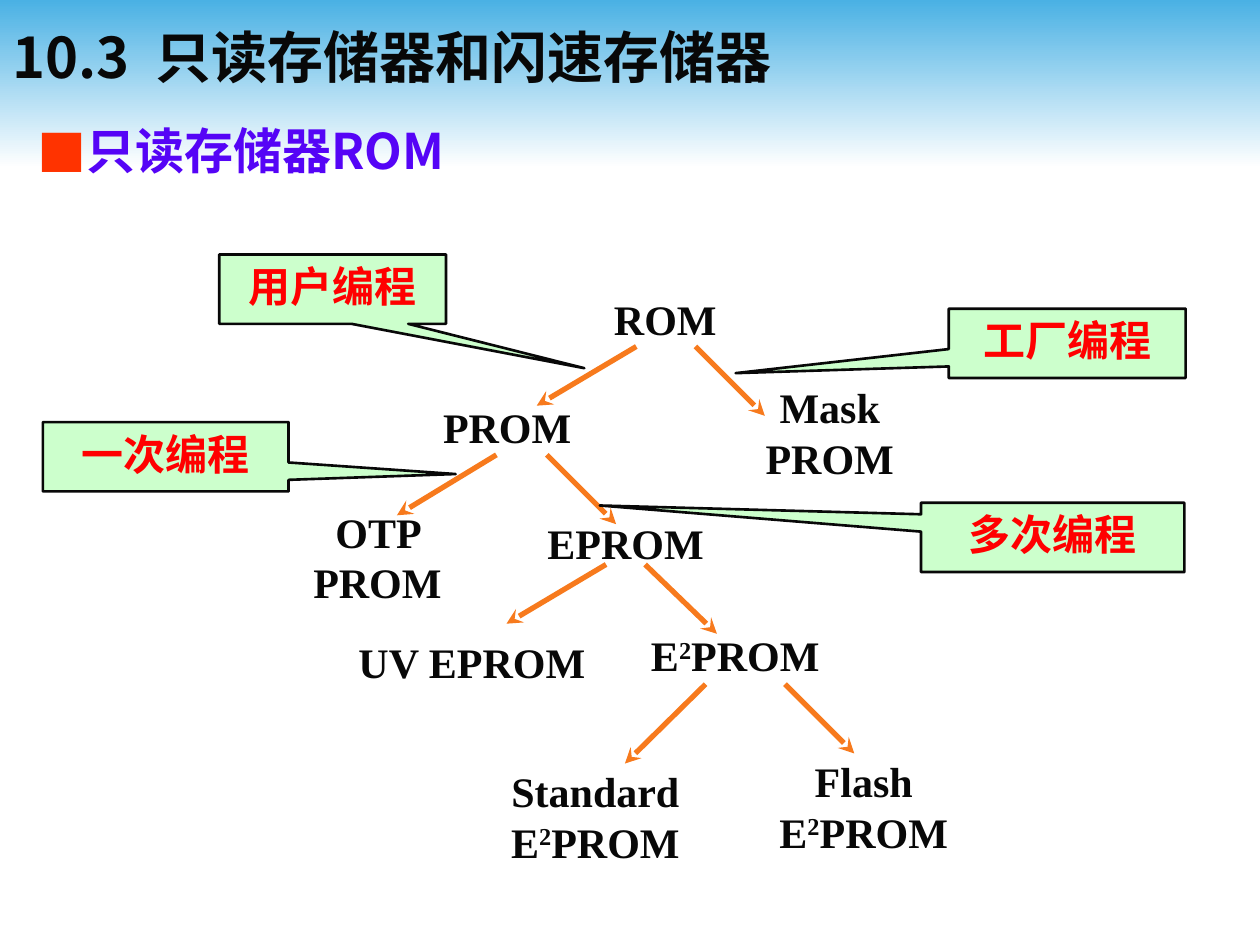
"""Build the slide on the family tree of read-only memories."""
import pptx
import pptx.util
import pptx.dml.color
import pptx.enum.shapes
import pptx.enum.text
import pptx.oxml
import pptx.oxml.ns
from lxml import etree

Inches = pptx.util.Inches
Pt = pptx.util.Pt
RGBColor = pptx.dml.color.RGBColor
MSO_SHAPE = pptx.enum.shapes.MSO_SHAPE
PP_ALIGN = pptx.enum.text.PP_ALIGN
MSO_ANCHOR = pptx.enum.text.MSO_ANCHOR
qn = pptx.oxml.ns.qn

SKY = RGBColor(0x4A, 0xB1, 0xE4)
WHITE = RGBColor(0xFF, 0xFF, 0xFF)
INK = RGBColor(0x08, 0x08, 0x08)
VIOLET = RGBColor(0x55, 0x04, 0xF6)
ORANGE = RGBColor(0xF7, 0x7A, 0x1D)
MINT = RGBColor(0xCC, 0xFF, 0xCC)
RED = RGBColor(0xFF, 0x00, 0x00)
SANS = "Noto Sans CJK JP"
SERIF = "Times New Roman"


def write(s, text, size=24, font=SERIF, color=INK, align=PP_ALIGN.CENTER,
          anchor=MSO_ANCHOR.TOP, bullet=None):
    """Write bold text; a part between carets is superscript."""
    tf = s.text_frame
    tf.word_wrap = True
    tf.vertical_anchor = anchor
    p = tf.paragraphs[0]
    p.alignment = align
    if bullet:
        pPr = p._p.get_or_add_pPr()
        pPr.set("marL", str(Inches(0.38)))
        pPr.set("indent", str(-Inches(0.38)))
        clr = etree.SubElement(pPr, qn("a:buClr"))
        etree.SubElement(clr, qn("a:srgbClr")).set("val", "FF3300")
        etree.SubElement(pPr, qn("a:buFont")).set("typeface", SANS)
        etree.SubElement(pPr, qn("a:buChar")).set("char", bullet)
    for i, part in enumerate(text.split("^")):
        r = p.add_run()
        r.text = part
        r.font.size = Pt(size)
        r.font.bold = True
        r.font.name = font
        r.font.color.rgb = color
        rPr = r._r.get_or_add_rPr()
        etree.SubElement(rPr, qn("a:ea")).set("typeface", SANS)
        if i % 2:
            rPr.set("baseline", "30000")


prs = pptx.Presentation()
prs.slide_width = Inches(10)
prs.slide_height = Inches(7.5)
sp = prs.slides.add_slide(prs.slide_layouts[6]).shapes

band = sp.add_shape(MSO_SHAPE.RECTANGLE, 0, 0, Inches(10), Inches(1.33))
band.shadow.inherit = False
band.line.fill.background()
band.fill.gradient()
band.fill.gradient_angle = 270
for stop, color, position in zip(band.fill.gradient_stops, (SKY, WHITE), (0, 1)):
    stop.color.rgb = color
    stop.position = position

title = sp.add_textbox(0, Inches(0.05), Inches(10), Inches(0.79))
write(title, "10.3  只读存储器和闪速存储器", size=32, font=SANS,
      align=PP_ALIGN.LEFT, anchor=MSO_ANCHOR.MIDDLE)
body = sp.add_textbox(Inches(0.2), Inches(0.91), Inches(9.53), Inches(6.59))
write(body, "只读存储器ROM", size=28, font=SANS, color=VIOLET,
      align=PP_ALIGN.LEFT, bullet="■")

nodes = [
    ("ROM", 3.94, 2.28, 2.68, 0.5),
    ("PROM", 3.08, 3.14, 1.89, 0.5),
    ("Mask PROM", 5.76, 2.98, 1.65, 0.9),
    ("OTP PROM", 2.05, 3.97, 1.89, 0.9),
    ("EPROM", 4.02, 4.06, 1.89, 0.5),
    ("UV EPROM", 2.68, 5, 2.13, 0.5),
    ("E^2^PROM", 4.89, 4.95, 1.89, 0.5),
    ("Standard E^2^PROM", 3.78, 6.03, 1.89, 0.9),
    ("Flash E^2^PROM", 5.91, 5.95, 1.89, 0.9),
]
for text, *box in nodes:
    write(sp.add_textbox(*map(Inches, box)), text)

branches = [
    (5.05, 2.75, 4.26, 3.22), (5.52, 2.75, 6.07, 3.3),
    (3.94, 3.61, 3.15, 4.09), (4.34, 3.61, 4.89, 4.16),
    (4.81, 4.48, 4.02, 4.95), (5.12, 4.48, 5.69, 5.03),
    (5.6, 5.43, 4.96, 6.06), (6.23, 5.43, 6.78, 5.98),
]
for ends in branches:
    s = sp.add_connector(pptx.enum.shapes.MSO_CONNECTOR.STRAIGHT, *map(Inches, ends))
    s.line.color.rgb = ORANGE
    s.line.width = Pt(3)
    etree.SubElement(s.line._get_or_add_ln(), qn("a:tailEnd")).set("type", "stealth")
    etree.SubElement(s._element.spPr, qn("a:effectLst"))

callouts = [
    ("多次编程", 7.31, 3.99, 2.09, -1.72, -0.46),
    ("一次编程", 0.34, 3.35, 1.95, 1.18, 0.25),
    ("工厂编程", 7.53, 2.45, 1.88, -1.4, 0.43),
    ("用户编程", 1.74, 2.02, 1.8, 1.11, 1.14),
]
for text, left, top, width, tip_x, tip_y in callouts:
    s = sp.add_shape(MSO_SHAPE.RECTANGULAR_CALLOUT, Inches(left), Inches(top),
                     Inches(width), Inches(0.55))
    s.shadow.inherit = False
    s.adjustments[0] = tip_x
    s.adjustments[1] = tip_y
    s.fill.solid()
    s.fill.fore_color.rgb = MINT
    s.line.color.rgb = INK
    s.line.width = Pt(1.5)
    write(s, text, color=RED)

prs.save("out.pptx")
